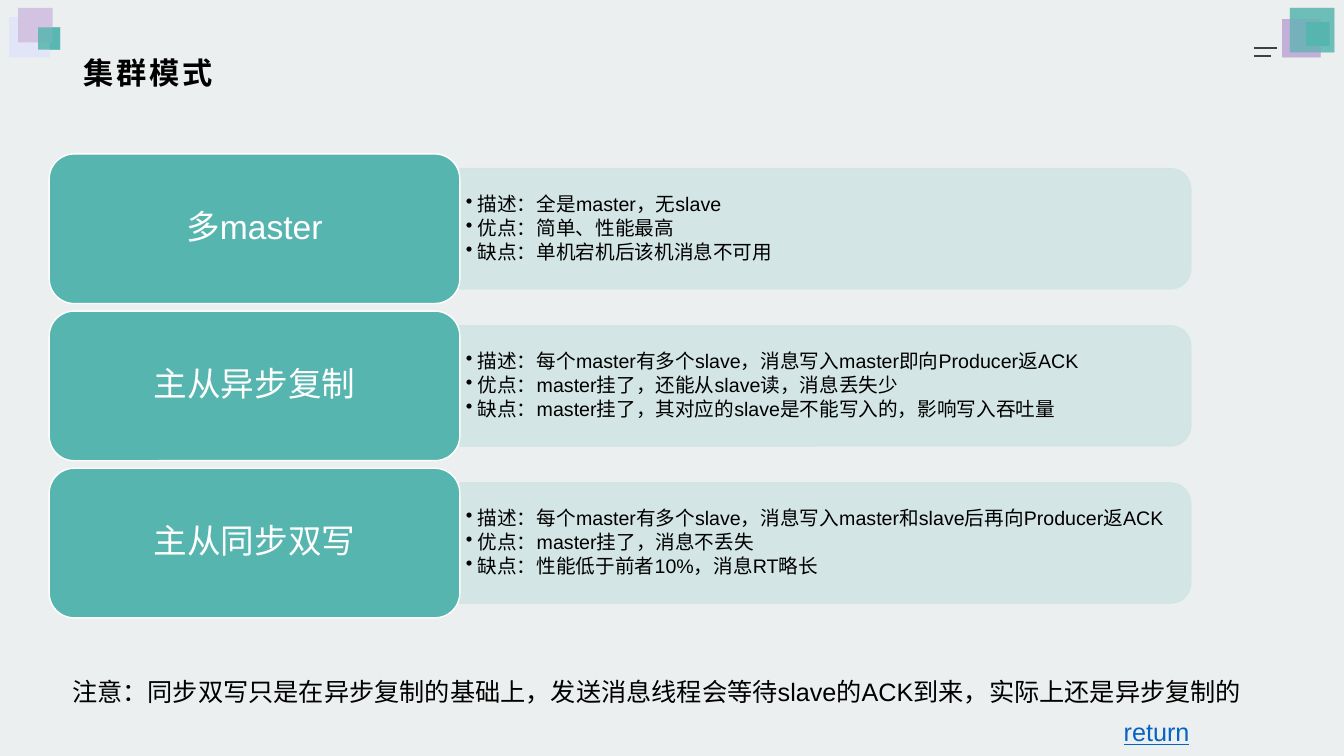
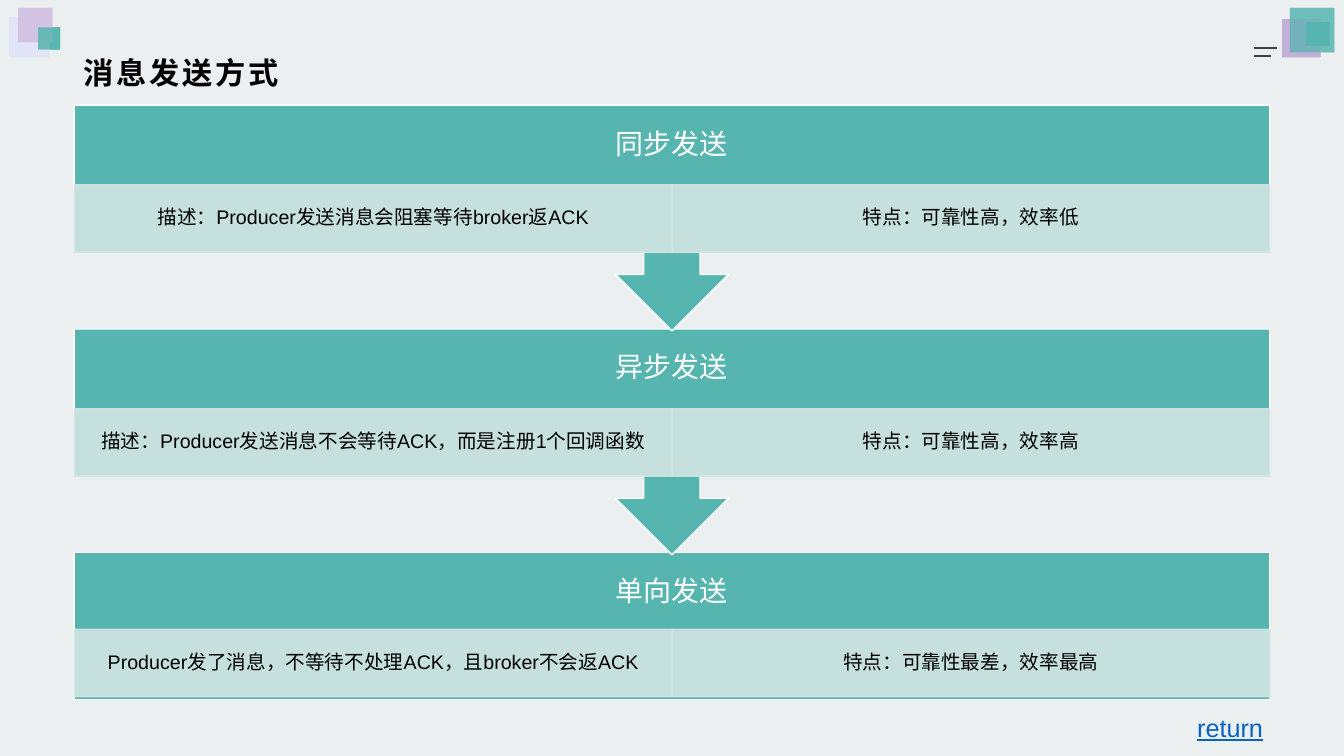
from dataclasses import dataclass

from lxml import etree
from pptx import Presentation
from pptx.dml.color import RGBColor
from pptx.enum.shapes import MSO_CONNECTOR, MSO_SHAPE
from pptx.enum.text import MSO_ANCHOR, PP_ALIGN
from pptx.oxml.ns import qn
from pptx.util import Cm, Pt

RECT = MSO_SHAPE.RECTANGLE
ROUNDED = MSO_SHAPE.ROUNDED_RECTANGLE
ROUND_TOP = MSO_SHAPE.ROUND_2_SAME_RECTANGLE
ARROW_BOX = MSO_SHAPE.DOWN_ARROW_CALLOUT
STRAIGHT = MSO_CONNECTOR.STRAIGHT
TOP, MIDDLE = MSO_ANCHOR.TOP, MSO_ANCHOR.MIDDLE
LEFT, CENTER = PP_ALIGN.LEFT, PP_ALIGN.CENTER


@dataclass(frozen=True)
class Theme:
    font: str = "Arial"
    back: str = "ECEFEF"
    teal: str = "57B5AF"
    mint: str = "D1E5E3"
    purple: str = "BCA5D4"
    lilac: str = "D3C3E3"
    pale: str = "E1E5F7"
    white: str = "FFFFFF"
    ink: str = "000000"
    dash: str = "404040"
    link: str = "0563C1"
    title: float = 21.6
    label: float = 24
    header: float = 20
    note: float = 18
    body: float = 14


THEME = Theme()

MODES = [
    ("多master", ["描述：全是master，无slave", "优点：简单、性能最高",
                 "缺点：单机宕机后该机消息不可用"]),
    ("主从异步复制", ["描述：每个master有多个slave，消息写入master即向Producer返ACK",
                "优点：master挂了，还能从slave读，消息丢失少",
                "缺点：master挂了，其对应的slave是不能写入的，影响写入吞吐量"]),
    ("主从同步双写", ["描述：每个master有多个slave，消息写入master和slave后再向Producer返ACK",
                "优点：master挂了，消息不丢失",
                "缺点：性能低于前者10%，消息RT略长"]),
]
MODE_NOTE = ("注意：同步双写只是在异步复制的基础上，发送消息线程会等待slave的ACK到来，"
             "实际上还是异步复制的")
SEND_WAYS = [
    ("同步发送", ["描述：Producer发送消息会阻塞等待broker返ACK", "特点：可靠性高，效率低"]),
    ("异步发送", ["描述：Producer发送消息不会等待ACK，而是注册1个回调函数", "特点：可靠性高，效率高"]),
    ("单向发送", ["Producer发了消息，不等待不处理ACK，且broker不会返ACK", "特点：可靠性最差，效率最高"]),
]


# Building blocks; every box is (left, top, width, height) in cm
def add_block(slide, kind, box, fill, line=None, alpha=None):
    block = slide.shapes.add_shape(kind, *map(Cm, box))
    block.shadow.inherit = False
    block.fill.solid()
    block.fill.fore_color.rgb = RGBColor.from_string(fill)
    if line:
        block.line.color.rgb = RGBColor.from_string(line)
        block.line.width = Pt(1)
    else:
        block.line.fill.background()
    if alpha:
        for color in block.element.spPr.iter(qn("a:srgbClr")):
            etree.SubElement(color, qn("a:alpha")).set("val", str(alpha * 1000))
    return block


def write(shape, lines, size, color, align=LEFT, anchor=MIDDLE, margins=(0.25, 0.13, 0.25, 0.13),
          spacing=None, after=0, bullet=False, bold=False, underline=False, tracking=None):
    frame = shape.text_frame
    frame.word_wrap = True
    frame.vertical_anchor = anchor
    (frame.margin_left, frame.margin_top,
     frame.margin_right, frame.margin_bottom) = map(Cm, margins)
    frame.text = "\n".join(lines)
    for paragraph in frame.paragraphs:
        paragraph.alignment = align
        paragraph.line_spacing = spacing
        paragraph.space_after = Pt(round(size * after))
        if bullet:
            props = paragraph._p.get_or_add_pPr()
            props.set("marL", str(Cm(0.3)))
            props.set("indent", str(-Cm(0.3)))
            etree.SubElement(props, qn("a:buChar")).set("char", "•")
        for run in paragraph.runs:
            font = run.font
            font.name, font.size = THEME.font, Pt(size)
            font.bold, font.underline = bold, underline
            font.color.rgb = RGBColor.from_string(color)
            if tracking:
                run._r.get_or_add_rPr().set("spc", str(tracking * 100))


def add_text(slide, box, lines, size, color, **style):
    write(slide.shapes.add_textbox(*map(Cm, box)), lines, size, color, **style)


# Shared frame: background, corner squares, dashes, title, return label
def add_corners(slide):
    right_purple = ((32.31, 0.48, 0.97, 0.97), THEME.purple, 60)
    right_teal = ((32.51, 0.2, 1.12, 1.12), THEME.teal, 61)
    left_teal = ((0.96, 0.69, 0.56, 0.56), THEME.teal, 85)
    squares = [
        right_purple, right_teal, left_teal,
        right_purple, right_teal, ((32.91, 0.56, 0.6, 0.6), THEME.teal, None),
        ((0.23, 0.43, 1.02, 1.02), THEME.pale, None),
        ((0.46, 0.2, 0.87, 0.87), THEME.lilac, None), left_teal,
    ]
    for box, color, alpha in squares:
        add_block(slide, RECT, box, color, alpha=alpha)
    for y, length in ((1.21, 0.58), (1.41, 0.43)):
        dash = slide.shapes.add_connector(
            STRAIGHT, Cm(31.6), Cm(y), Cm(31.6 + length), Cm(y))
        dash.line.color.rgb = RGBColor.from_string(THEME.dash)
        dash.line.width = Pt(1)
        etree.SubElement(dash.element.spPr, qn("a:effectLst"))


def add_framed_slide(deck, title, return_at):
    slide = deck.slides.add_slide(deck.slide_layouts[6])
    slide.background.fill.solid()
    slide.background.fill.fore_color.rgb = RGBColor.from_string(THEME.back)
    add_corners(slide)
    add_text(slide, (1.85, 1.22, 30.15, 1.22), [title], THEME.title, THEME.ink,
             bold=True, tracking=2)
    add_text(slide, (*return_at, 2.36, 1.02), ["return"], THEME.note, THEME.link,
             anchor=TOP, underline=True)
    return slide


# Cluster mode: label on the left, bulleted panel on the right
def add_mode_row(slide, box, name, points):
    left, top, width, height = box
    label_width, panel_height = 10.35, 3.03
    panel_left, panel_width = left + label_width, width - label_width
    panel_top = top + (height - panel_height) / 2
    # The panel is turned a quarter, so its width and height are swapped
    turned = (panel_left + (panel_width - panel_height) / 2,
              panel_top + (panel_height - panel_width) / 2, panel_height, panel_width)
    panel = add_block(slide, ROUND_TOP, turned, THEME.mint, THEME.mint, 90)
    panel.rotation = 90
    add_text(slide, (panel_left, panel_top, panel_width - 0.15, panel_height), points,
             THEME.body, THEME.ink, margins=(0.15, 0.08, 0.15, 0.08),
             spacing=0.9, after=0.15, bullet=True)
    label = add_block(slide, ROUNDED, (left, top, label_width, height), THEME.teal, THEME.white)
    write(label, [name], THEME.label, THEME.white, align=CENTER, spacing=0.9, after=0.35)


def build_modes(deck):
    slide = add_framed_slide(deck, "集群模式", (28.07, 17.93))
    for index, (name, points) in enumerate(MODES):
        add_mode_row(slide, (1.24, 3.88 + index * 3.96, 28.77, 3.77), name, points)
    add_text(slide, (1.57, 16.92, 30.25, 1.02), [MODE_NOTE], THEME.note, THEME.ink, anchor=TOP)


# Sending way: header band over equal cells, with an arrow to the next one
def add_way(slide, box, name, details, last):
    left, top, width, body_height = box
    header_height = 1.93 if last else 2.01
    kind, height = (RECT, body_height) if last else (ARROW_BOX, 5.69)
    band = add_block(slide, kind, (left, top, width, height), THEME.teal, THEME.white)
    write(band, [name], THEME.header, THEME.white, align=CENTER, spacing=0.9, after=0.35,
          margins=(0.41, 0.41, 0.41, body_height - 2.01 + 0.41))
    cell_width = width / len(details)
    for column, detail in enumerate(details):
        cell_box = (left + column * cell_width, top + header_height, cell_width, 1.7)
        cell = add_block(slide, RECT, cell_box, THEME.mint, THEME.mint, 90)
        write(cell, [detail], THEME.body, THEME.ink, align=CENTER, spacing=0.9, after=0.35,
              margins=(0.28, 0.05, 0.28, 0.05))


def build_send_ways(deck):
    slide = add_framed_slide(deck, "消息发送方式", (29.92, 17.81))
    # Bottom first, so that each arrow lies over the next band
    for index, (name, details) in reversed(list(enumerate(SEND_WAYS))):
        add_way(slide, (1.87, 2.65 + index * 5.64, 30.13, 3.7), name, details,
                index == len(SEND_WAYS) - 1)


def main():
    deck = Presentation()
    deck.slide_width, deck.slide_height = Cm(33.87), Cm(19.05)
    build_modes(deck)
    build_send_ways(deck)
    deck.save("out.pptx")


if __name__ == "__main__":
    main()
